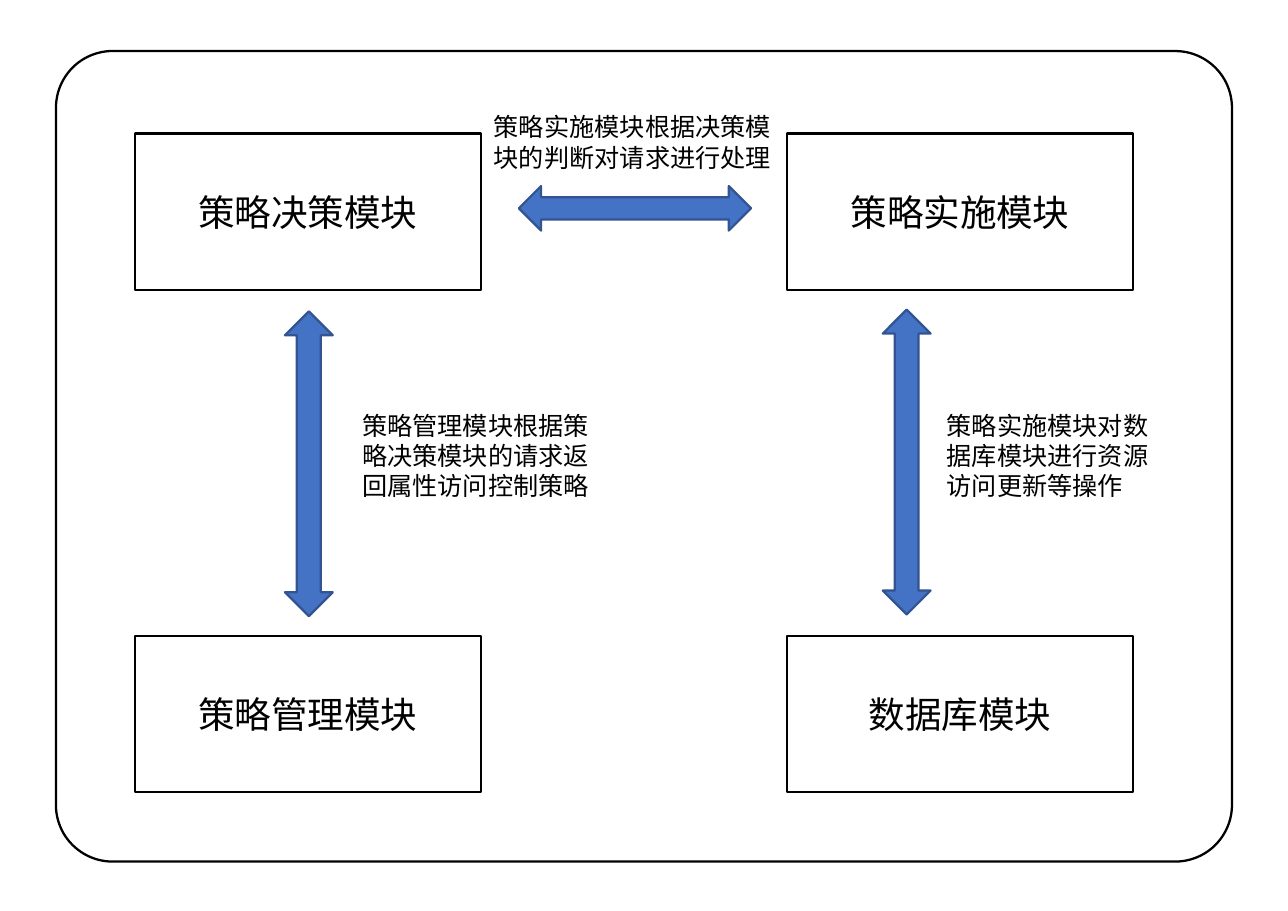
from pptx import Presentation, util as u
from pptx.dml.color import RGBColor
from pptx.enum import shapes, text

# Content: modules by (column, row); arrows and notes by place in inches
MODULES = [
    ("策略决策模块", 0, 0),
    ("策略实施模块", 1, 0),
    ("策略管理模块", 0, 1),
    ("数据库模块", 1, 1),
]
ARROWS = [  # left, top, width, height, rotation
    (3.72, 0.56, 0.27, 1.41, 90),
    (1.73, 1.89, 0.29, 1.85, 0),
    (5.36, 1.88, 0.29, 1.85, 0),
]
NOTES = [  # left, top, width, height, lines
    (2.9, 0.63, 1.9, 0.47, ["策略实施模块根据决策模", "块的判断对请求进行处理"]),
    (2.1, 2.44, 1.59, 0.66, ["策略管理模块根据策", "略决策模块的请求返", "回属性访问控制策略"]),
    (5.65, 2.44, 1.44, 0.66, ["策略实施模块对数", "据库模块进行资源", "访问更新等操作"]),
]
COLORS = {"paper": "FFFFFF", "ink": "000000", "arrow": "4472C4", "arrow_edge": "325491"}
FONT = "Calibri"
GRID_LEFT, GRID_TOP = 0.82, 0.81
COLUMN_STEP, ROW_STEP = 3.96, 3.05
MODULE_SIZE = (2.1, 0.95)

presentation = Presentation()
presentation.slide_width, presentation.slide_height = u.Inches(7.82), u.Inches(5.53)
slide = presentation.slides.add_slide(presentation.slide_layouts[6])


def color(name):
    return RGBColor.from_string(COLORS[name])


def add_shape(kind, place, fill="paper", line="ink"):
    shape = slide.shapes.add_shape(kind, *map(u.Inches, place))
    shape.shadow.inherit = False
    shape.fill.solid()
    shape.fill.fore_color.rgb = color(fill)
    shape.line.color.rgb = color(line)
    shape.line.width = u.Pt(1)
    return shape


def write(frame, lines, size, alignment):
    frame.text = "\n".join(lines)
    for paragraph in frame.paragraphs:
        paragraph.alignment = alignment
        paragraph.font.name = FONT
        paragraph.font.size = u.Pt(size)
        paragraph.font.color.rgb = color("ink")


# Rounded frame
frame_shape = add_shape(shapes.MSO_SHAPE.ROUNDED_RECTANGLE, (0.34, 0.31, 7.14, 4.92))
frame_shape.adjustments[0] = 0.07

# Modules on a two by two grid
for name, column, row in MODULES:
    left, top = GRID_LEFT + column * COLUMN_STEP, GRID_TOP + row * ROW_STEP
    module = add_shape(shapes.MSO_SHAPE.RECTANGLE, (left, top, *MODULE_SIZE))
    module.text_frame.vertical_anchor = text.MSO_ANCHOR.MIDDLE
    write(module.text_frame, [name], 16, text.PP_ALIGN.CENTER)

# Double arrows between modules
for *place, rotation in ARROWS:
    arrow = add_shape(shapes.MSO_SHAPE.UP_DOWN_ARROW, place, "arrow", "arrow_edge")
    arrow.rotation = rotation

# Notes beside the arrows
for *place, lines in NOTES:
    note = slide.shapes.add_textbox(*map(u.Inches, place))
    note.text_frame.word_wrap = False
    note.text_frame.auto_size = text.MSO_AUTO_SIZE.SHAPE_TO_FIT_TEXT
    write(note.text_frame, lines, 11, text.PP_ALIGN.LEFT)

presentation.save("out.pptx")
